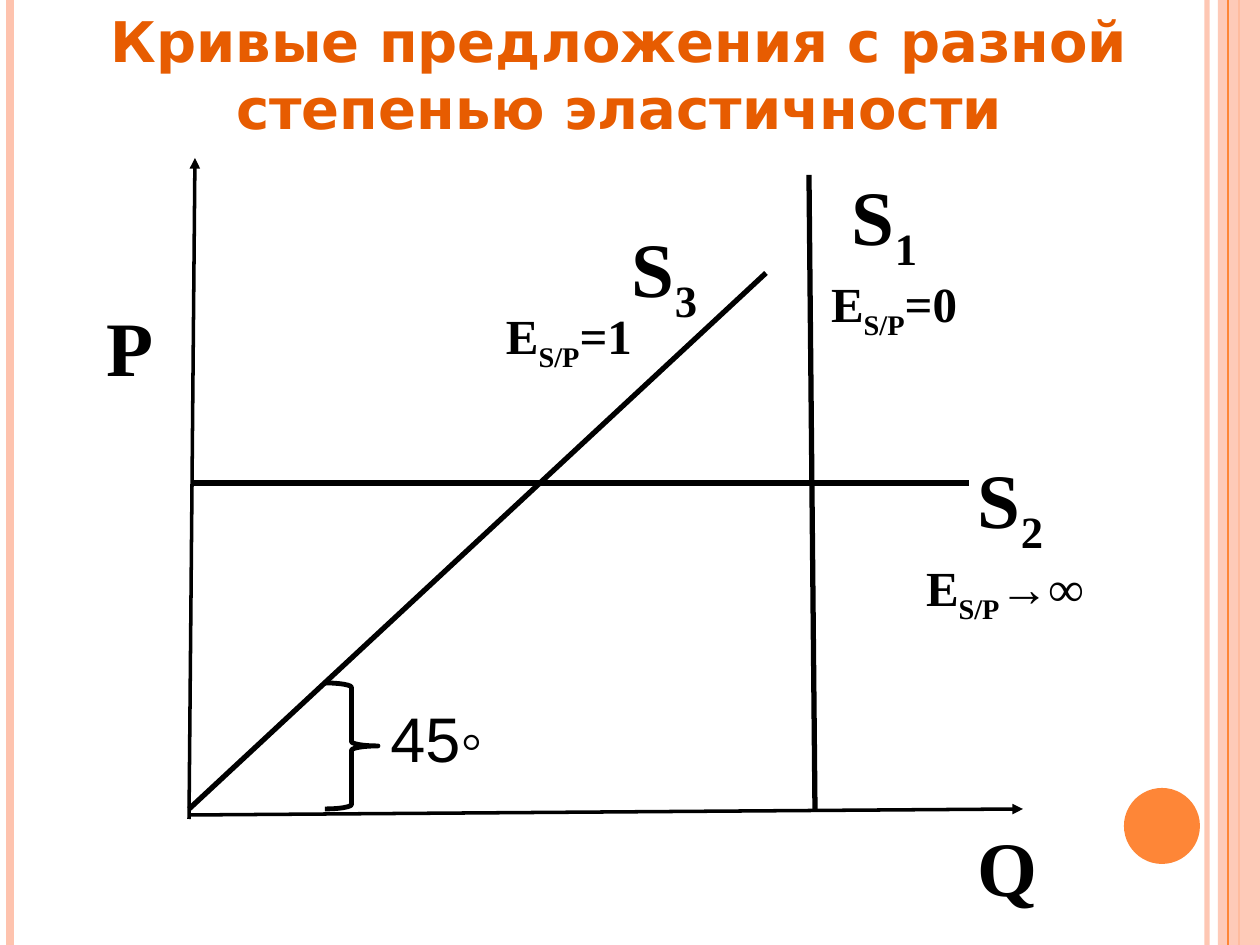
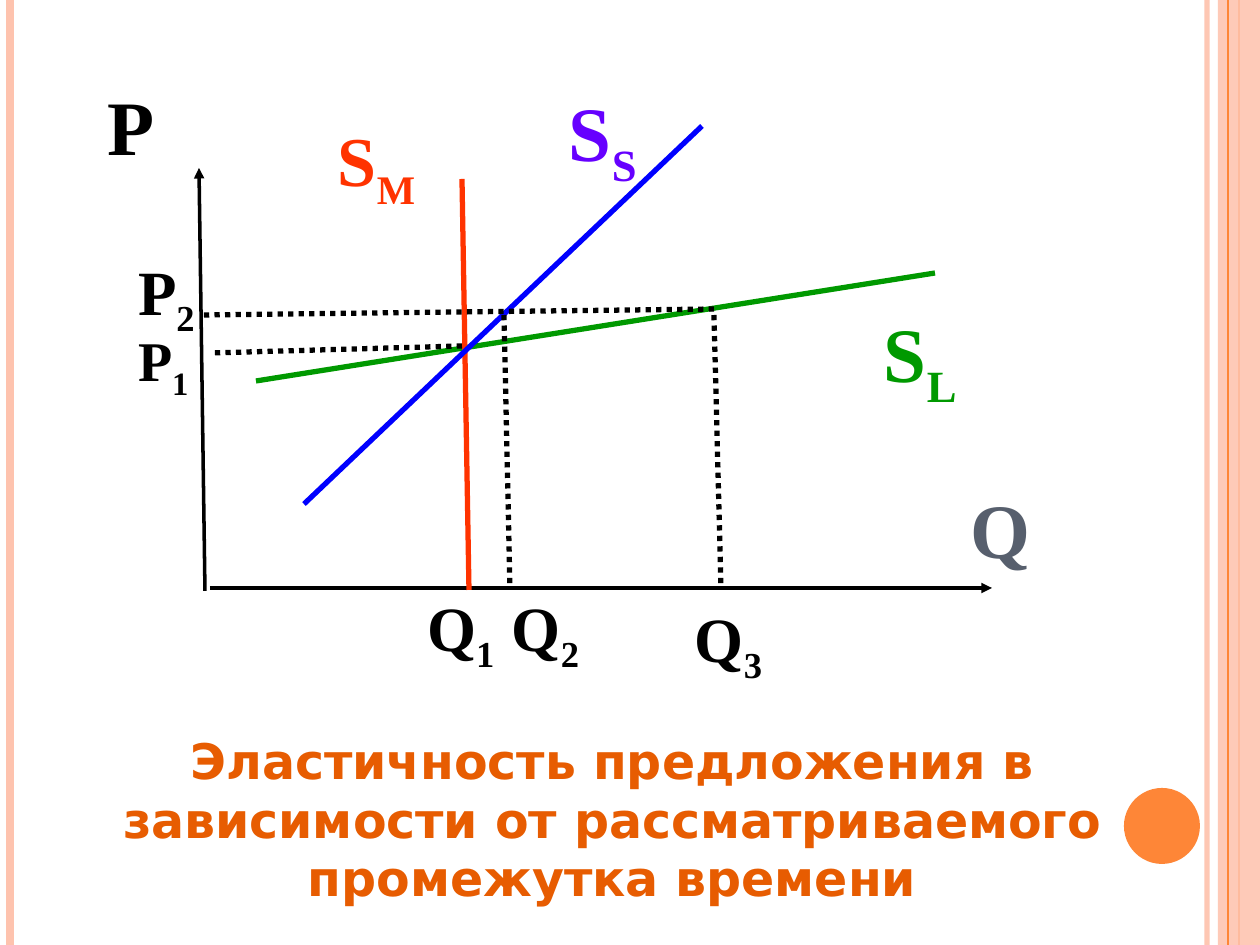
from lxml import etree
from pptx import Presentation
from pptx.dml.color import RGBColor
from pptx.enum.dml import MSO_LINE
from pptx.enum.shapes import MSO_CONNECTOR, MSO_SHAPE
from pptx.enum.text import MSO_ANCHOR, MSO_AUTO_SIZE, PP_ALIGN
from pptx.oxml.ns import qn
from pptx.util import Emu, Pt

EMU_PER_PX = 914400 / 126
SLIDE_W, SLIDE_H = 1260, 945
TITLE_ONLY = 5

STRAIGHT = MSO_CONNECTOR.STRAIGHT
RECTANGLE, OVAL, BRACE = MSO_SHAPE.RECTANGLE, MSO_SHAPE.OVAL, MSO_SHAPE.RIGHT_BRACE
DOTTED = MSO_LINE.ROUND_DOT
TOP, CENTER = MSO_ANCHOR.TOP, PP_ALIGN.CENTER
NO_AUTOFIT = MSO_AUTO_SIZE.NONE

COLORS = {
    "black": "000000",
    "title": "E75C01",
    "peach": "FEC3AE",
    "orange": "FE8637",
    "slate": "575F6D",
    "green": "009900",
    "red": "FF3300",
    "blue": "0000FF",
    "violet": "6600FF",
}
TITLE_FONT, LABEL_FONT, ANGLE_FONT = "DejaVu Sans", "Times New Roman", "Arial"
TIGHT, ROOMY = (2, 1), (13, 6)  # horizontal and vertical text insets
LABEL_SIZE = (92, 50)


def px(length):
    return Emu(round(length * EMU_PER_PX))


def rgb(name):
    return RGBColor.from_string(COLORS[name])


def set_opacity(shape, percent):
    color = shape._element.spPr.find(".//" + qn("a:srgbClr"))
    etree.SubElement(color, qn("a:alpha")).set("val", str(percent * 1000))


def add_line(shapes, start, end, color="black", width=3, dash=None, arrow=False):
    line = shapes.add_connector(STRAIGHT, *map(px, (*start, *end)))
    line.line.color.rgb = rgb(color)
    line.line.width = Pt(width)
    if dash is not None:
        line.line.dash_style = dash
    properties = line._element.spPr
    if arrow:
        outline = properties.find(qn("a:ln"))
        etree.SubElement(outline, qn("a:tailEnd")).set("type", "triangle")
    etree.SubElement(properties, qn("a:effectLst"))
    return line


def add_filled(shapes, kind, frame, color):
    shape = shapes.add_shape(kind, *map(px, frame))
    shape.shadow.inherit = False
    shape.fill.solid()
    shape.fill.fore_color.rgb = rgb(color)
    shape.line.fill.background()
    return shape


def add_span(para, text, font, size, color, bold=True, subscript=False):
    span = para.add_run()
    span.text = text
    span.font.name = font
    span.font.size = Pt(size)
    span.font.bold = bold
    span.font.color.rgb = rgb(color)
    if subscript:
        span._r.get_or_add_rPr().set("baseline", "-25000")


def add_label(shapes, frame, parts, size=44, color="black", inset=TIGHT, indent=0):
    """Place a bold label; every second part is a subscript."""
    box = shapes.add_textbox(*map(px, frame))
    text = box.text_frame
    text.word_wrap = True
    text.margin_left = px(inset[0] + indent)
    text.margin_right = px(inset[0])
    text.margin_top = text.margin_bottom = px(inset[1])
    para = text.paragraphs[0]
    para.space_before = Pt(size / 8)
    for index, part in enumerate(parts):
        add_span(para, part, LABEL_FONT, size, color, subscript=index % 2 == 1)


def add_title(slide, frame, words, size):
    title = slide.shapes.title
    title.left, title.top, title.width, title.height = map(px, frame)
    text = title.text_frame
    text.word_wrap = True
    text.auto_size = NO_AUTOFIT
    text.vertical_anchor = TOP
    para = text.paragraphs[0]
    para.alignment = CENTER
    para.space_before = Pt(size / 12)
    add_span(para, words, TITLE_FONT, size, "title")


def add_side_bands(shapes):
    def band(x, color, width):
        return add_line(shapes, (x, 0), (x, SLIDE_H), color, width)

    set_opacity(band(1207, "peach", 3), 93)
    band(10, "peach", 4.5)
    band(1239, "orange", 1.5)
    edge = add_filled(shapes, RECTANGLE, (1218, 0, 42, SLIDE_H), "peach")
    set_opacity(edge, 87)
    band(1228, "orange", 0.75)
    add_filled(shapes, OVAL, (1124, 788, 76, 76), "orange")


def add_slide(deck):
    slide = deck.slides.add_slide(deck.slide_layouts[TITLE_ONLY])
    add_side_bands(slide.shapes)
    return slide


def add_axes(shapes, *axes):
    for start, end in axes:
        add_line(shapes, start, end, width=2, arrow=True)


def add_supply_curve(shapes, start, end, number, name_frame, value, value_frame):
    """Group a supply line with its name and its elasticity."""
    group = shapes.add_group_shape().shapes
    add_line(group, start, end)
    add_label(group, value_frame, ("Е", "S/P", value), size=28)
    add_label(group, name_frame, ("S", number))


def add_angle(shapes):
    brace = shapes.add_shape(BRACE, *map(px, (325, 683, 53, 126)))
    brace.shadow.inherit = False
    brace.fill.background()
    brace.line.color.rgb = rgb("black")
    brace.line.width = Pt(2.75)
    box = shapes.add_textbox(*map(px, (378, 693, 118, 89)))
    box.text_frame.word_wrap = False
    para = box.text_frame.paragraphs[0]
    add_span(para, "45◦", ANGLE_FONT, 36, "black", bold=False)


def build_elasticity_slide(deck):
    slide = add_slide(deck)
    shapes = slide.shapes
    add_title(slide, (84, 0, 1071, 149),
              "Кривые предложения с разной степенью эластичности", 32)
    add_axes(shapes, ((189, 819), (195, 158)), ((189, 815), (1023, 809)))
    add_label(shapes, (94, 294, 73, 91), ("Р",), inset=ROOMY)
    add_label(shapes, (976, 819, 73, 47), ("Q",))
    curves = (
        ((815, 809), (809, 175), "1", (850, 168, 159, 79), "=0", (829, 273, 145, 71)),
        ((193, 483), (969, 483), "2", (976, 451, 98, 64), "→∞", (924, 557, 170, 71)),
        ((189, 809), (766, 273), "3", (630, 220, 89, 59), "=1", (504, 305, 145, 71)),
    )
    for curve in curves:
        add_supply_curve(shapes, *curve)
    add_angle(shapes)


def build_time_slide(deck):
    slide = add_slide(deck)
    shapes = slide.shapes
    add_title(slide, (32, 724, 1160, 190),
              "Эластичность предложения в зависимости от "
              "рассматриваемого промежутка времени", 28)
    add_axes(shapes, ((205, 591), (199, 168)), ((210, 588), (992, 588)))
    add_label(shapes, (94, 73, 69, 66), ("Р",), inset=ROOMY)
    add_label(shapes, (969, 481, 69, 34), ("Q",), color="slate")

    curves = (
        ((256, 381), (935, 273), "green"),
        ((469, 590), (462, 179), "red"),
        ((304, 504), (702, 126), "blue"),
    )
    for start, end, color in curves:
        add_line(shapes, start, end, color)

    labels = (
        ((567, 84), ("S", "S"), 44, "violet", 0),
        ((882, 305), ("S", "L"), 44, "green", 0),
        ((336, 116), ("S", "M"), 40, "red", 0),
        ((409, 588), ("Q", "1"), 36, "black", 16),
        ((494, 588), ("Q", "2"), 36, "black", 16),
        ((693, 599), ("Q", "3"), 36, "black", 0),
        ((126, 325), ("Р", "1"), 32, "black", 10),
        ((126, 252), ("Р", "2"), 36, "black", 10),
    )
    for corner, parts, size, color, indent in labels:
        add_label(shapes, corner + LABEL_SIZE, parts, size, color, indent=indent)

    projections = (
        ((504, 315), (510, 588)),
        ((462, 346), (210, 353)),
        ((714, 309), (199, 315)),
        ((714, 315), (721, 588)),
    )
    for start, end in projections:
        add_line(shapes, start, end, dash=DOTTED)


def main():
    deck = Presentation()
    deck.slide_width, deck.slide_height = px(SLIDE_W), px(SLIDE_H)
    build_elasticity_slide(deck)
    build_time_slide(deck)
    deck.save("out.pptx")


if __name__ == "__main__":
    main()
